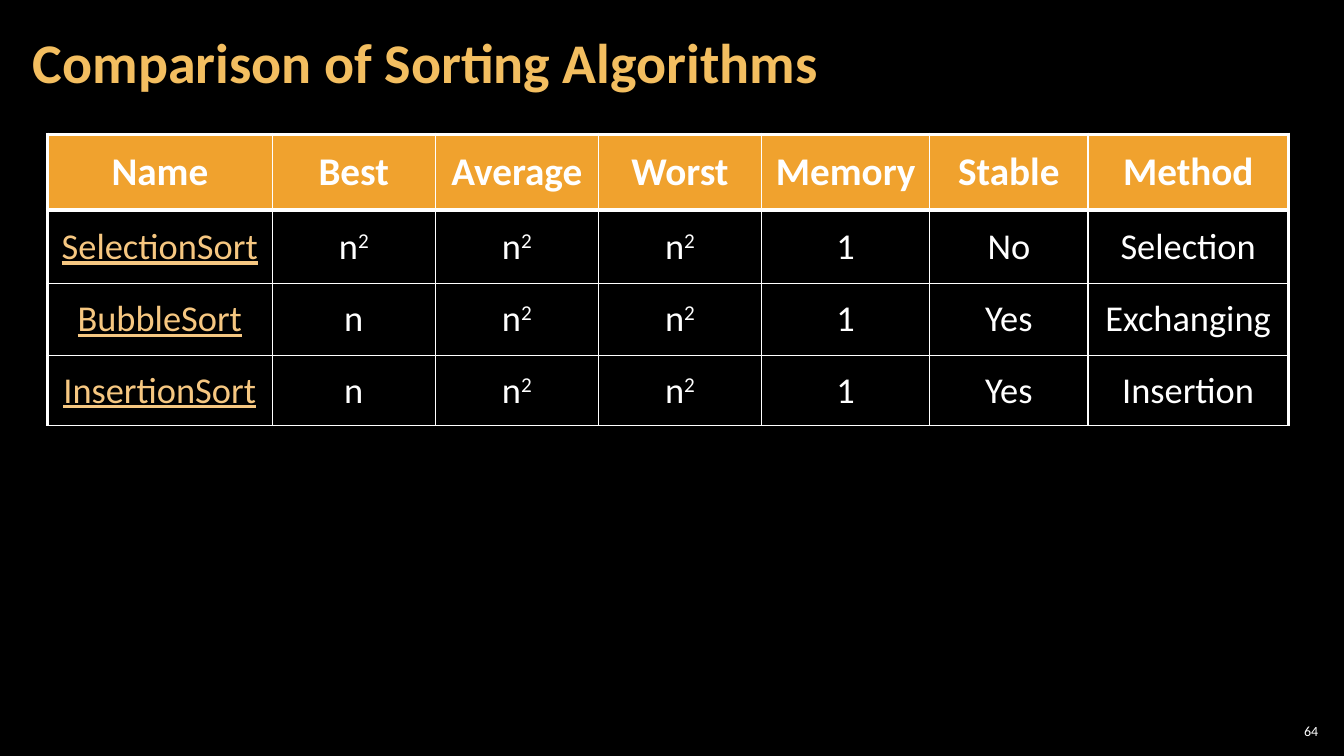
from lxml.etree import SubElement
from pptx import Presentation
from pptx.dml.color import RGBColor
from pptx.enum.text import MSO_ANCHOR, MSO_AUTO_SIZE, PP_ALIGN
from pptx.oxml import parse_xml
from pptx.oxml.ns import nsdecls, qn
from pptx.util import Cm, Pt

FONT = "Calibri"
BLACK, WHITE = "000000", "FFFFFF"
GOLD, ORANGE, LINK = "F3BE60", "F0A22E", "F6C781"
THIN, THICK = 1, 3

COLUMN_WIDTHS = [5.66, 4.11, 4.11, 4.11, 4.24, 3.99, 5.05]
ROW_HEIGHTS = [1.9, 1.85, 1.81, 1.78]
# A caret marks the start of a superscript
COMPARISON = [
    ["Name", "Best", "Average", "Worst", "Memory", "Stable", "Method"],
    ["SelectionSort", "n^2", "n^2", "n^2", "1", "No", "Selection"],
    ["BubbleSort", "n", "n^2", "n^2", "1", "Yes", "Exchanging"],
    ["InsertionSort", "n", "n^2", "n^2", "1", "Yes", "Insertion"],
]


def color(hex_string):
    return RGBColor.from_string(hex_string)


def write(frame, text, size, ink=WHITE, bold=False, underline=False,
          align=PP_ALIGN.LEFT, spacing=None):
    """Fill a text frame with one formatted paragraph."""
    paragraph = frame.paragraphs[0]
    paragraph.alignment = align
    if spacing:
        paragraph.line_spacing = spacing
    for level, part in enumerate(text.split("^")):
        run = paragraph.add_run()
        run.text = part
        run.font.name = FONT
        run.font.size = Pt(size)
        run.font.bold = bold
        run.font.underline = underline
        run.font.color.rgb = color(ink)
        if level:
            run.font._element.set("baseline", "30000")


def set_frame(frame, side, edge):
    """Set insets, wrapping and vertical centring of a text frame."""
    frame.margin_left = frame.margin_right = Cm(side)
    frame.margin_top = frame.margin_bottom = Cm(edge)
    frame.word_wrap = True
    frame.auto_size = MSO_AUTO_SIZE.NONE
    frame.vertical_anchor = MSO_ANCHOR.MIDDLE


def place(shape, left, top, width, height):
    shape.left, shape.top = Cm(left), Cm(top)
    shape.width, shape.height = Cm(width), Cm(height)


def set_borders(cell, **widths):
    """Draw white cell borders; the keys are L, R, T and B, in that order."""
    properties = cell._tc.get_or_add_tcPr()
    for position, (side, width) in enumerate(widths.items()):
        properties.insert(position, parse_xml(
            f'<a:ln{side} {nsdecls("a")} w="{Pt(width)}"><a:solidFill>'
            f'<a:srgbClr val="{WHITE}"/></a:solidFill></a:ln{side}>'))


def fill_cell(cell, hex_string, opacity=100):
    cell.fill.solid()
    cell.fill.fore_color.rgb = color(hex_string)
    if opacity < 100:
        shade = cell._tc.tcPr.find(".//" + qn("a:srgbClr"))
        SubElement(shade, qn("a:alpha")).set("val", str(opacity * 1000))


def add_title(slide, text):
    title = slide.shapes.title
    place(title, 0.53, 0.1, 26.59, 3.07)
    set_frame(title.text_frame, 0.3, 0.1)
    write(title.text_frame, text, 40, ink=GOLD, bold=True, spacing=0.9)


def add_page_number(slide, number):
    box = slide.shapes.add_textbox(Cm(32.13), Cm(18.14), Cm(1.19), Cm(0.56))
    set_frame(box.text_frame, 0.1, 0.1)
    write(box.text_frame, number, 10, align=PP_ALIGN.RIGHT)


def add_comparison(slide):
    table = slide.shapes.add_table(
        len(ROW_HEIGHTS), len(COLUMN_WIDTHS), Cm(1.2), Cm(3.39),
        Cm(sum(COLUMN_WIDTHS)), Cm(sum(ROW_HEIGHTS))).table
    for column, width in zip(table.columns, COLUMN_WIDTHS):
        column.width = Cm(width)
    for row, height in zip(table.rows, ROW_HEIGHTS):
        row.height = Cm(height)

    last = len(COLUMN_WIDTHS) - 1
    for r, entries in enumerate(COMPARISON):
        header = r == 0
        for c, entry in enumerate(entries):
            cell = table.cell(r, c)
            cell.vertical_anchor = MSO_ANCHOR.MIDDLE
            linked = c == 0 and not header
            write(cell.text_frame, entry, 28 if header else 26,
                  ink=LINK if linked else WHITE, bold=header,
                  underline=linked, align=PP_ALIGN.CENTER)
            fill_cell(cell, ORANGE if header else BLACK,
                      opacity=100 if header else 30)
            set_borders(cell,
                        L=THICK if c == 0 else THIN,
                        R=THICK if c == last else THIN,
                        T=THICK if r <= 1 else THIN,
                        B=THICK if header else THIN)


def main():
    deck = Presentation()
    deck.slide_width, deck.slide_height = Cm(33.87), Cm(19.05)
    slide = deck.slides.add_slide(deck.slide_layouts[5])
    slide.background.fill.solid()
    slide.background.fill.fore_color.rgb = color(BLACK)

    add_page_number(slide, "64")
    add_title(slide, "Comparison of Sorting Algorithms")
    add_comparison(slide)
    deck.save("out.pptx")


if __name__ == "__main__":
    main()
